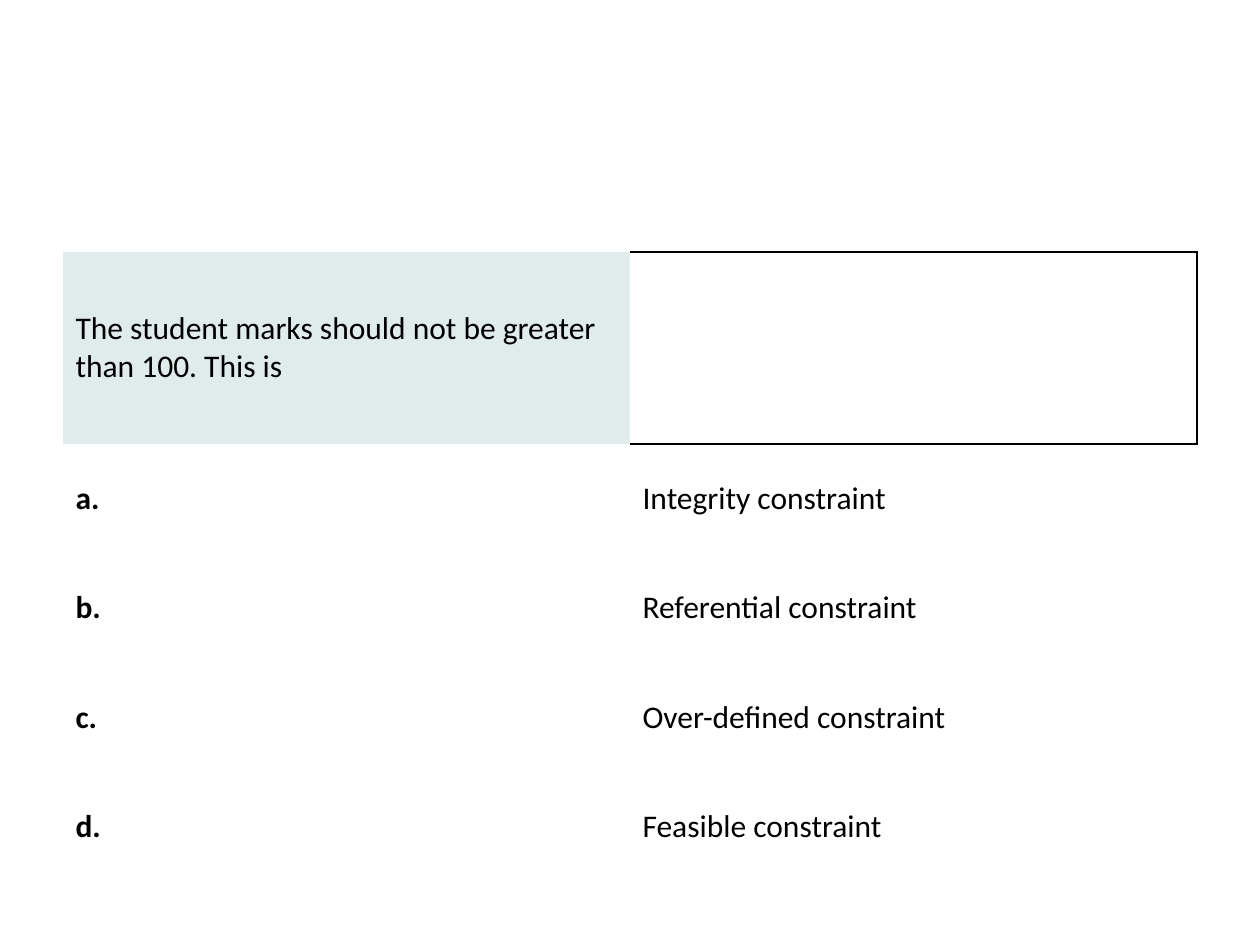
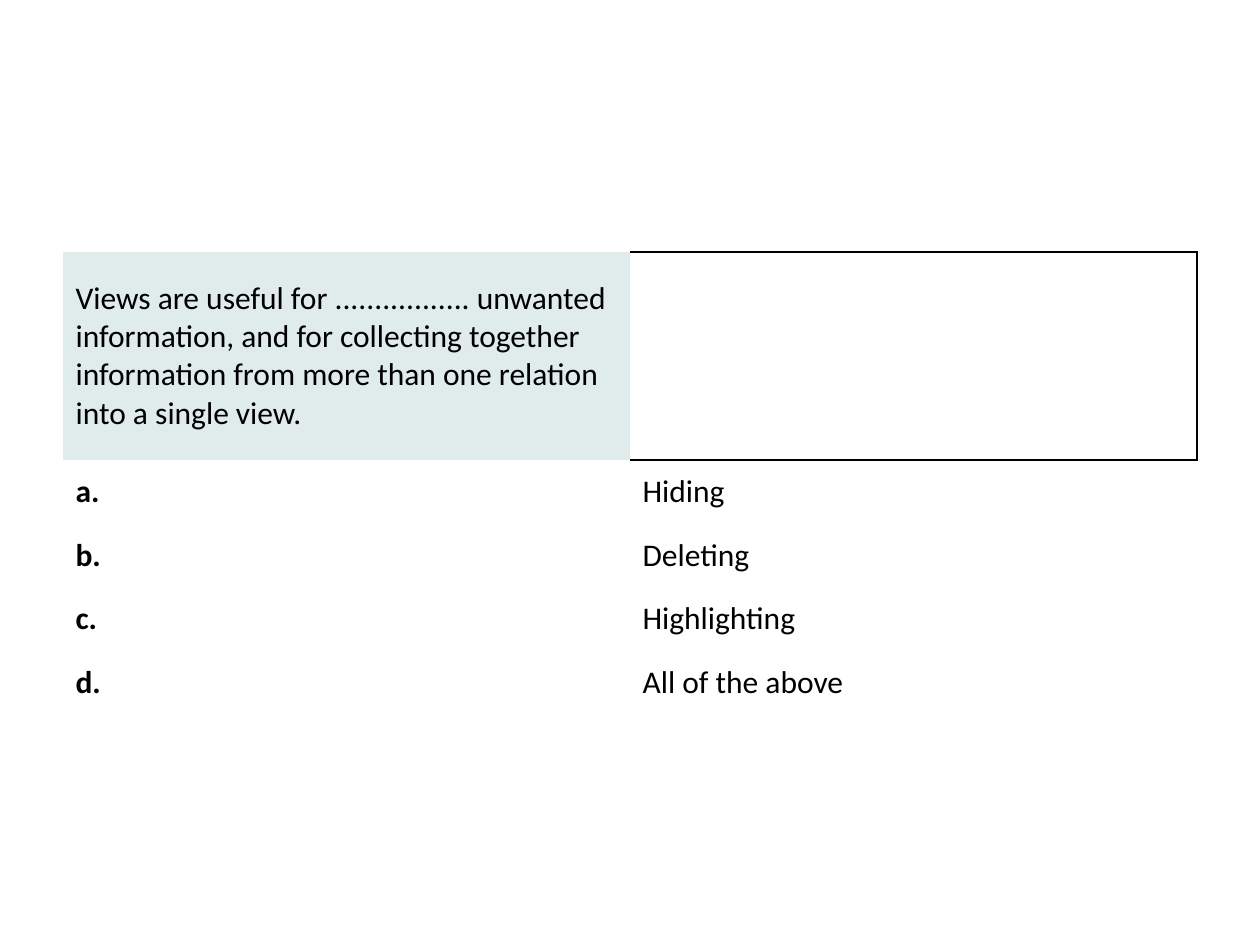
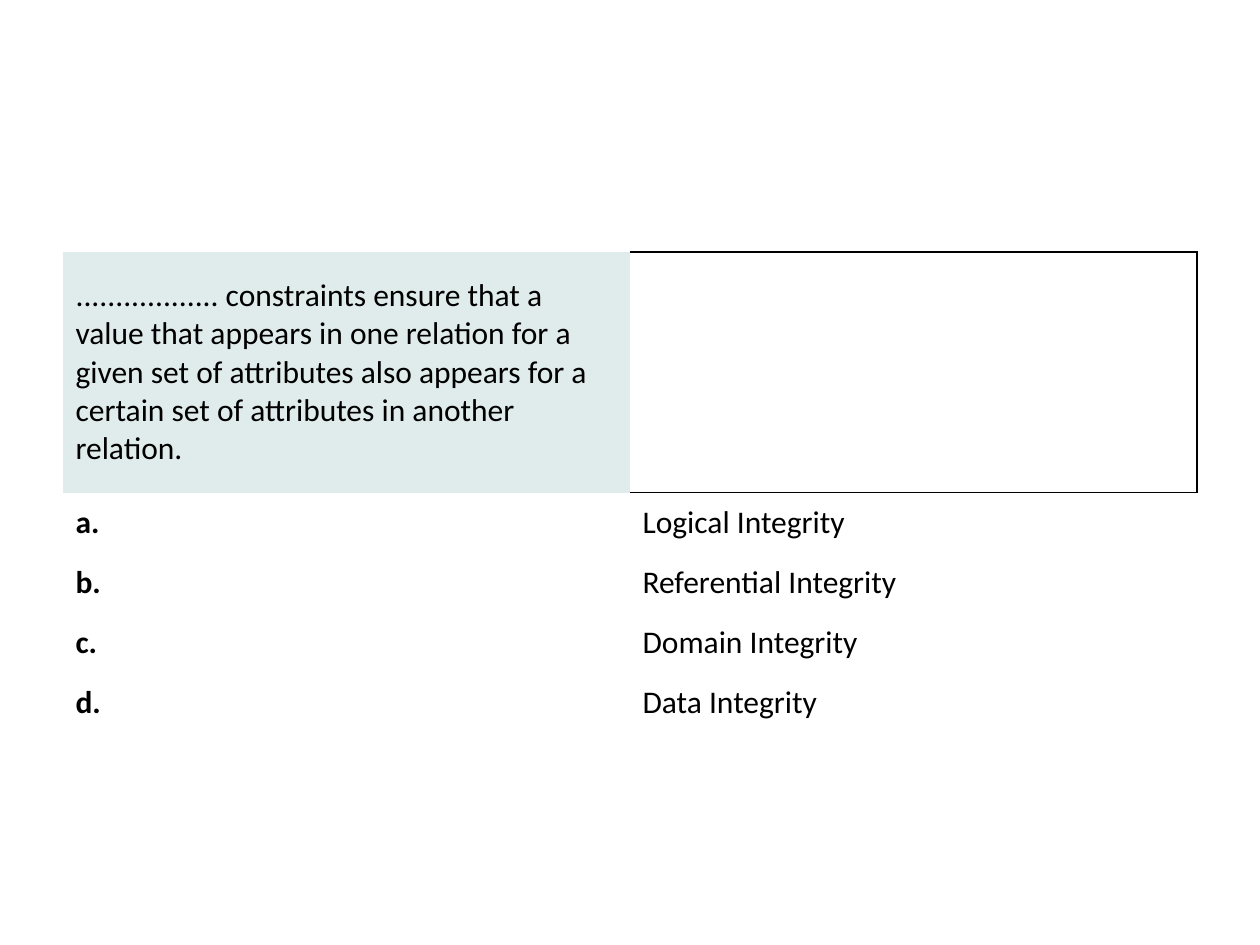
from dataclasses import dataclass

from lxml import etree
from pptx import Presentation
from pptx.dml.color import RGBColor
from pptx.enum import text
from pptx.oxml import ns
from pptx.util import Pt


@dataclass(frozen=True)
class Theme:
    """Colours, font and sizes shared by all slides."""
    font: str = "Calibri"
    size: float = 18
    ink: str = "000000"
    question_fill: str = "E0EBEB"
    border: float = 1


THEME = Theme()
SLIDE_SIZE = (720, 540)
QUIZ_LEFT, QUIZ_TOP, QUIZ_WIDTH = 36, 144, 648

# question, height of its row, height of each option row, options
QUIZZES = [
    ("The student marks should not be greater than 100. This is",
     109.6, 62.6,
     ["Integrity constraint", "Referential constraint",
      "Over-defined constraint", "Feasible constraint"]),
    ("Views are useful for ................. unwanted information, and for "
     "collecting together information from more than one relation into a "
     "single view.",
     118.8, 36.4,
     ["Hiding", "Deleting", "Highlighting", "All of the above"]),
    (".................. constraints ensure that a value that appears in one "
     "relation for a given set of attributes also appears for a certain set "
     "of attributes in another relation.",
     137.5, 34.4,
     ["Logical Integrity", "Referential Integrity", "Domain Integrity",
      "Data Integrity"]),
]


def set_borders(cell, visible):
    """Draw the sides named in visible (of L, R, T, B) and hide the rest."""
    properties = cell._tc.get_or_add_tcPr()
    for side in "LRTB":
        line = etree.SubElement(properties, ns.qn(f"a:ln{side}"),
                                w=str(Pt(THEME.border)))
        if side in visible:
            fill = etree.SubElement(line, ns.qn("a:solidFill"))
            etree.SubElement(fill, ns.qn("a:srgbClr"), val=THEME.ink)
        else:
            etree.SubElement(line, ns.qn("a:noFill"))


def style_cell(cell, words="", bold=False, fill=None, borders=""):
    """Fill one cell with its words, borders and background."""
    set_borders(cell, borders)
    if fill:
        cell.fill.solid()
        cell.fill.fore_color.rgb = RGBColor.from_string(fill)
    else:
        cell.fill.background()
    cell.vertical_anchor = text.MSO_ANCHOR.MIDDLE
    cell.text = words
    font = cell.text_frame.paragraphs[0].font
    font.name, font.size, font.bold = THEME.font, Pt(THEME.size), bold
    font.color.rgb = RGBColor.from_string(THEME.ink)


def add_quiz(slide, left, top, width, question, question_height,
             option_height, options):
    """Place a question row above its lettered option rows."""
    heights = [question_height] + [option_height] * len(options)
    quiz = slide.shapes.add_table(len(heights), 2, Pt(left), Pt(top),
                                  Pt(width), Pt(sum(heights))).table
    quiz.first_row = quiz.horz_banding = False
    for column in quiz.columns:
        column.width = Pt(width / 2)
    for row, height in zip(quiz.rows, heights):
        row.height = Pt(height)

    style_cell(quiz.cell(0, 0), question, fill=THEME.question_fill)
    style_cell(quiz.cell(0, 1), borders="RTB")
    for number, (letter, option) in enumerate(zip("abcd", options), start=1):
        style_cell(quiz.cell(number, 0), f"{letter}.", bold=True)
        style_cell(quiz.cell(number, 1), option,
                   borders="T" if number == 1 else "")


def main():
    """Build one slide for each quiz and save the presentation."""
    deck = Presentation()
    deck.slide_width, deck.slide_height = map(Pt, SLIDE_SIZE)
    blank = deck.slide_layouts[6]
    for quiz in QUIZZES:
        add_quiz(deck.slides.add_slide(blank),
                 QUIZ_LEFT, QUIZ_TOP, QUIZ_WIDTH, *quiz)
    deck.save("out.pptx")


main()
